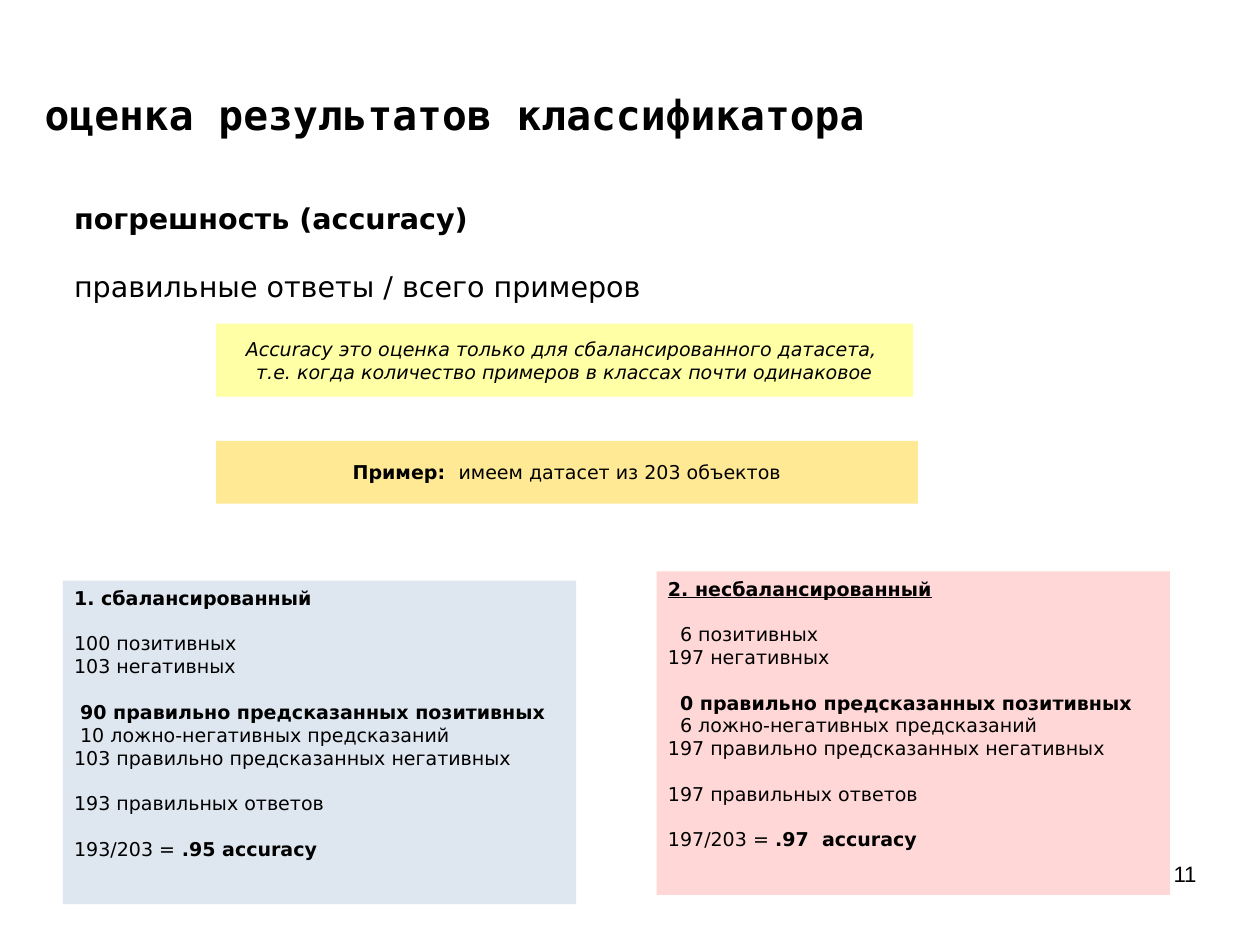
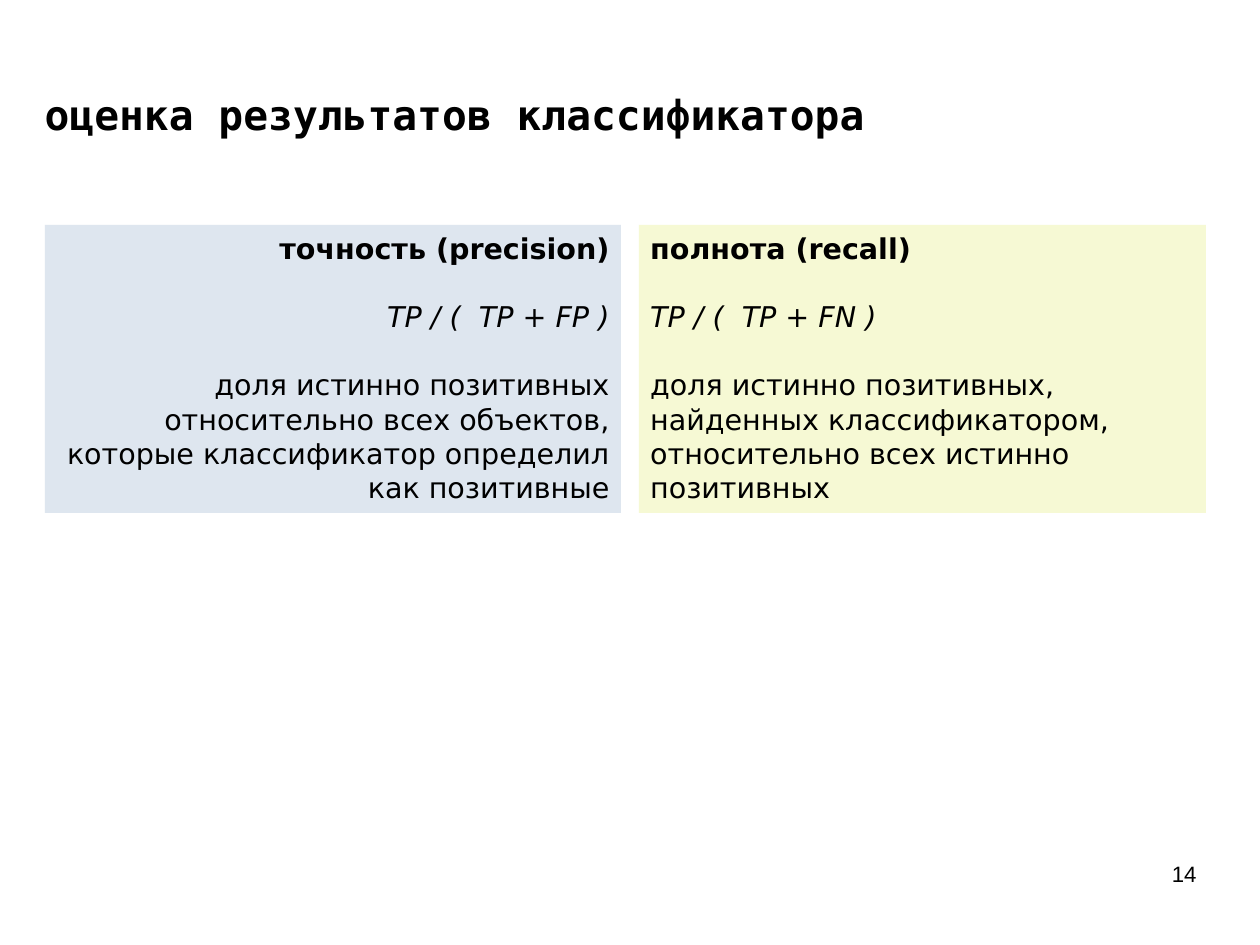
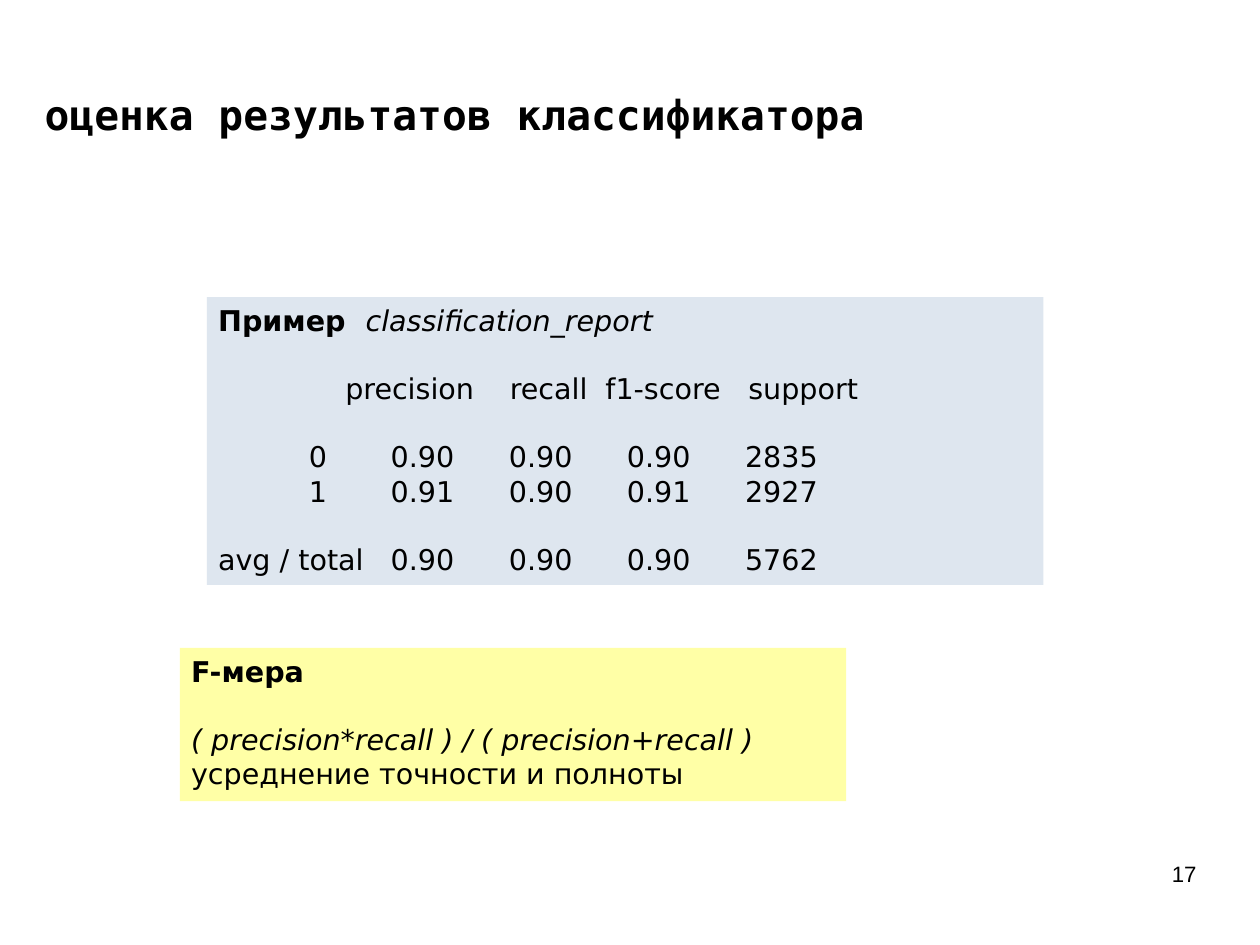
from lxml import etree
from pptx import Presentation
from pptx.dml.color import RGBColor
from pptx.enum.shapes import MSO_SHAPE
from pptx.enum.text import MSO_ANCHOR, PP_ALIGN
from pptx.oxml.ns import qn
from pptx.util import Pt

LEFT, CENTER, RIGHT = PP_ALIGN.LEFT, PP_ALIGN.CENTER, PP_ALIGN.RIGHT
TOP, MIDDLE = MSO_ANCHOR.TOP, MSO_ANCHOR.MIDDLE
RECTANGLE = MSO_SHAPE.RECTANGLE

COLORS = {
    "text": "000000",
    "blue": "DEE6EF",
    "pink": "FFD7D7",
    "lime": "F6F9D4",
    "yellow": "FFFFA6",
    "amber": "FFE994",
}
BODY_FONT, TITLE_FONT, NUMBER_FONT = "DejaVu Sans", "DejaVu Sans Mono", "Arial"
PAGE_WIDTH, PAGE_HEIGHT = 793.7, 595.28
LINE_RATIO = 1.19
SPACE_WIDTH = 3.8
PADDING = (7.2, 3.6)

TITLE = "оценка результатов классификатора"
TITLE_AREA = (28.1, 52.6, 555.8, 38.2)
NUMBER_AREA = (568.8, 542.2, 185, 41)

HEADER_TABS = (80.1, 183.7, 244, 334)
VALUE_TABS = [round(108.75 + 74.4 * column, 2) for column in range(4)]
LABEL_TABS = [57.2, *VALUE_TABS]


def line(*spans, gap=False, indent=0, tabs=()):
    return {"spans": spans, "gap": gap, "indent": indent, "tabs": tabs}


def report_line(label, *values, gap=False, tabs=LABEL_TABS):
    return line(("\t".join((label, *values)), ""), gap=gap, tabs=tabs)


def outcome(heading, counts, predictions, correct, ratio, accuracy):
    lines = [line(heading)]
    for group in (counts, predictions):
        for index, (text, style, indent) in enumerate(group):
            lines.append(line((text, style), gap=index == 0, indent=indent))
    lines.append(line((correct, ""), gap=True))
    lines.append(line((ratio, ""), (accuracy, "b"), gap=True))
    return lines


BALANCED = outcome(
    ("1. сбалансированный", "b"),
    [("100 позитивных", "", 0), ("103 негативных", "", 0)],
    [("90 правильно предсказанных позитивных", "b", 1),
     ("10 ложно-негативных предсказаний", "", 1),
     ("103 правильно предсказанных негативных", "", 0)],
    "193 правильных ответов", "193/203 =", " .95 accuracy")

UNBALANCED = outcome(
    ("2. несбалансированный", "bu"),
    [("6 позитивных", "", 2), ("197 негативных", "", 0)],
    [("0 правильно предсказанных позитивных", "b", 2),
     ("6 ложно-негативных предсказаний", "", 2),
     ("197 правильно предсказанных негативных", "", 0)],
    "197 правильных ответов", "197/203 = ", ".97  accuracy")

PAGES = [
    {"number": "11", "boxes": [
        {"area": (39.6, 123.1, 561.6, 69.8), "lines": [
            line(("погрешность (accuracy)", "b")),
            line(("правильные ответы / всего примеров", ""), gap=True)]},
        {"area": (413.7, 360, 323.3, 203.8), "fill": "pink", "size": 12, "lines": UNBALANCED},
        {"area": (39.6, 365.8, 323.3, 203.8), "fill": "blue", "size": 12, "lines": BALANCED},
        {"area": (136.1, 277.7, 442.1, 39.6), "fill": "amber", "size": 12,
         "align": CENTER, "anchor": MIDDLE, "lines": [
             line(("Пример:  ", "b"), ("имеем датасет из 203 объектов", ""))]},
        {"area": (136.1, 203.8, 439.2, 46.1), "fill": "yellow", "size": 12,
         "align": CENTER, "anchor": MIDDLE, "lines": [
             line(("Accuracy это оценка только для сбалансированного датасета, ", "i")),
             line(("т.е. когда количество примеров в классах почти одинаковое", "i"))]},
    ]},
    {"number": "14", "boxes": [
        {"area": (402.5, 141.7, 357.1, 181.4), "fill": "lime", "lines": [
            line(("полнота (recall)", "b")),
            line(("TP / (  TP + FN )", "i"), gap=True),
            line(("доля истинно позитивных, найденных классификатором,", ""), gap=True),
            line(("относительно всех истинно позитивных", ""))]},
        {"area": (28.3, 141.7, 362.9, 181.4), "fill": "blue", "align": RIGHT, "lines": [
            line(("точность (precision)", "b")),
            line(("TP / (  TP + FP )", "i"), gap=True),
            line(("доля истинно позитивных", ""), gap=True),
            line(("относительно всех объектов, которые классификатор определил "
                  "как позитивные", ""))]},
    ]},
    {"number": "17", "boxes": [
        {"area": (130.3, 187.1, 527, 181.4), "fill": "blue", "lines": [
            line(("Пример  ", "b"), ("classification_report", "i")),
            report_line("", "precision", "recall", "f1-score", "support",
                        gap=True, tabs=HEADER_TABS),
            report_line("", "0", "0.90", "0.90", "0.90", "2835", gap=True),
            report_line("", "1", "0.91", "0.90", "0.91", "2927"),
            report_line("avg / total", "0.90", "0.90", "0.90", "5762",
                        gap=True, tabs=VALUE_TABS)]},
        {"area": (113.3, 408.2, 419.8, 96.5), "fill": "yellow", "lines": [
            line(("F-мера", "b")),
            line(("( precision*recall ) / ( precision+recall )", "i"), gap=True),
            line(("усреднение точности и полноты", ""))]},
    ]},
]


def color(name):
    return RGBColor.from_string(COLORS[name])


def add_span(para, text, style, size, font):
    span = para.add_run()
    span.text = text
    span.font.name = font
    span.font.size = Pt(size)
    span.font.color.rgb = color("text")
    span.font.bold = "b" in style
    span.font.italic = "i" in style
    span.font.underline = "u" in style


def add_tabs(para, stops):
    tab_list = etree.SubElement(para._p.get_or_add_pPr(), qn("a:tabLst"))
    for stop in stops:
        etree.SubElement(tab_list, qn("a:tab"), pos=str(Pt(stop)), algn="l")


def add_box(page, area, lines, fill=None, size=18, font=BODY_FONT,
            align=LEFT, anchor=TOP, padding=PADDING):
    position = [Pt(value) for value in area]
    if fill:
        box = page.shapes.add_shape(RECTANGLE, *position)
        box.shadow.inherit = False
        box.fill.solid()
        box.fill.fore_color.rgb = color(fill)
        box.line.fill.background()
    else:
        box = page.shapes.add_textbox(*position)
    frame = box.text_frame
    frame.word_wrap = True
    frame.vertical_anchor = anchor
    frame.margin_left = frame.margin_right = Pt(padding[0])
    frame.margin_top = frame.margin_bottom = Pt(padding[1])
    for index, content in enumerate(lines):
        para = frame.add_paragraph() if index else frame.paragraphs[0]
        para.alignment = align
        if content["gap"]:
            para.space_before = Pt(round(size * LINE_RATIO, 2))
        if content["indent"]:
            properties = para._p.get_or_add_pPr()
            properties.set("marL", str(Pt(content["indent"] * SPACE_WIDTH)))
            properties.set("indent", "0")
        if content["tabs"]:
            add_tabs(para, content["tabs"])
        for text, style in content["spans"]:
            add_span(para, text, style, size, font)


def main():
    deck = Presentation()
    deck.slide_width, deck.slide_height = Pt(PAGE_WIDTH), Pt(PAGE_HEIGHT)
    blank = deck.slide_layouts[6]
    for content in PAGES:
        page = deck.slides.add_slide(blank)
        add_box(page, TITLE_AREA, [line((TITLE, "b"))], size=26, font=TITLE_FONT,
                anchor=MIDDLE, padding=(0, 0))
        for box in content["boxes"]:
            add_box(page, **box)
        add_box(page, NUMBER_AREA, [line((content["number"], ""))], size=14,
                font=NUMBER_FONT, align=RIGHT, padding=(0, 0))
    deck.save("out.pptx")


if __name__ == "__main__":
    main()
